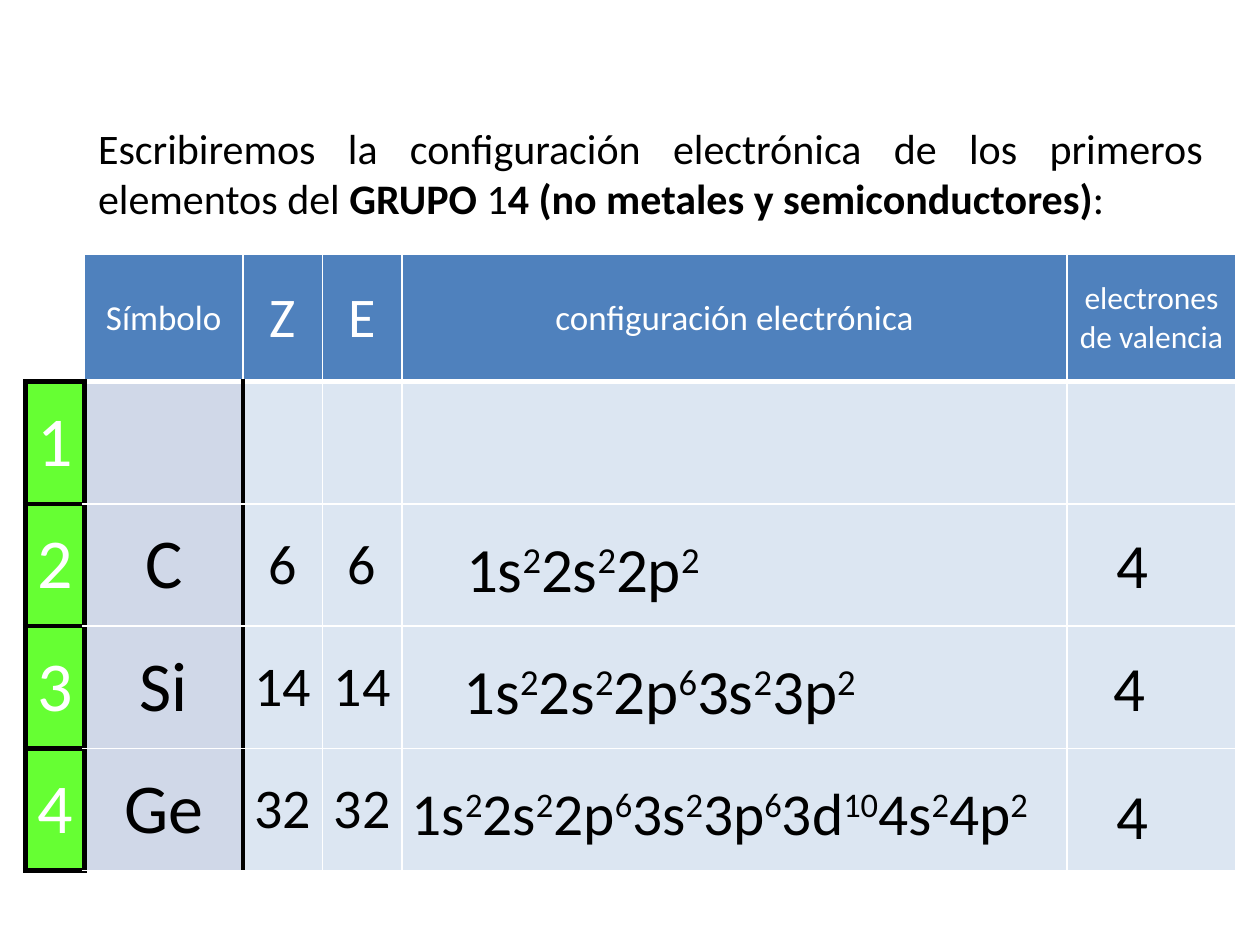
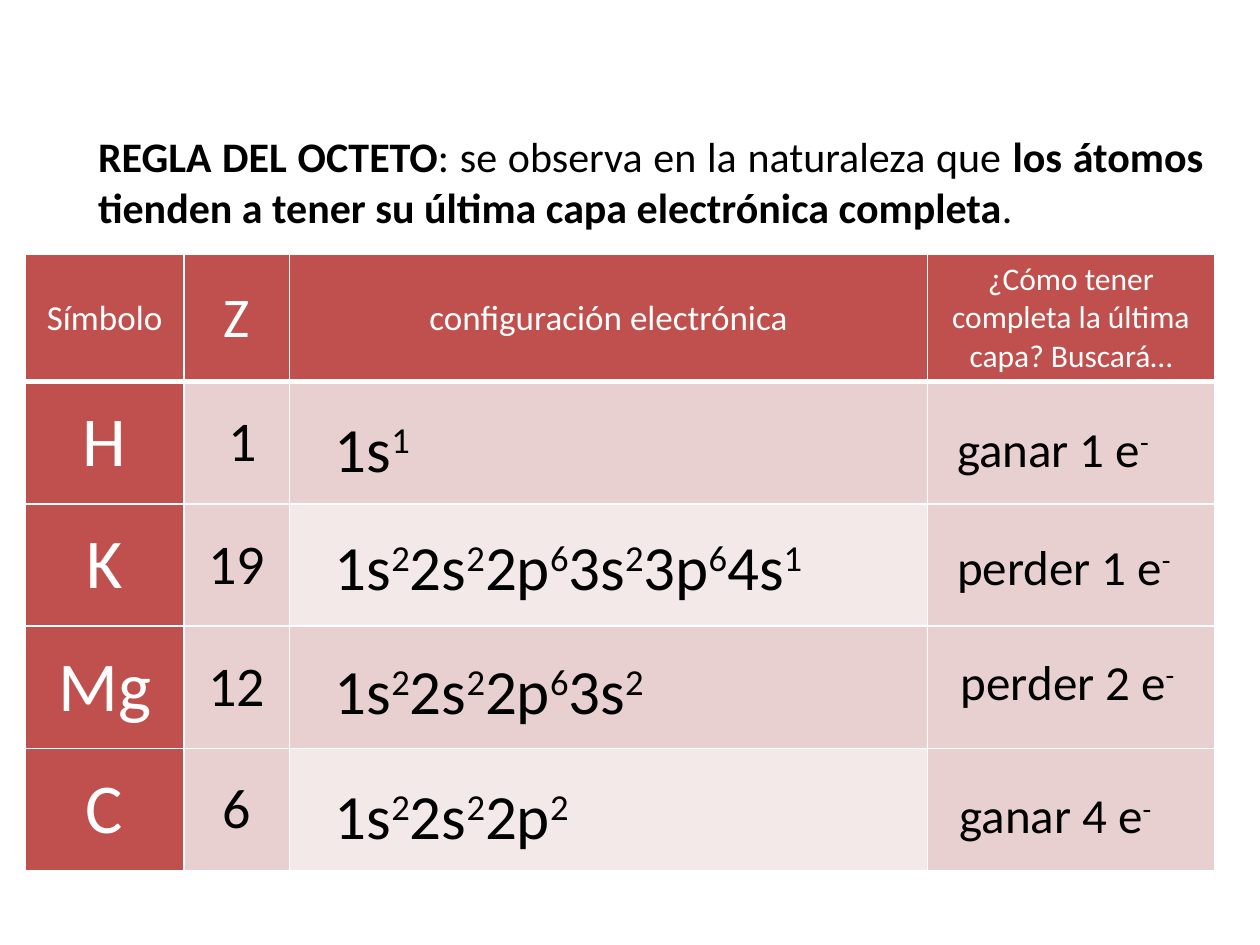
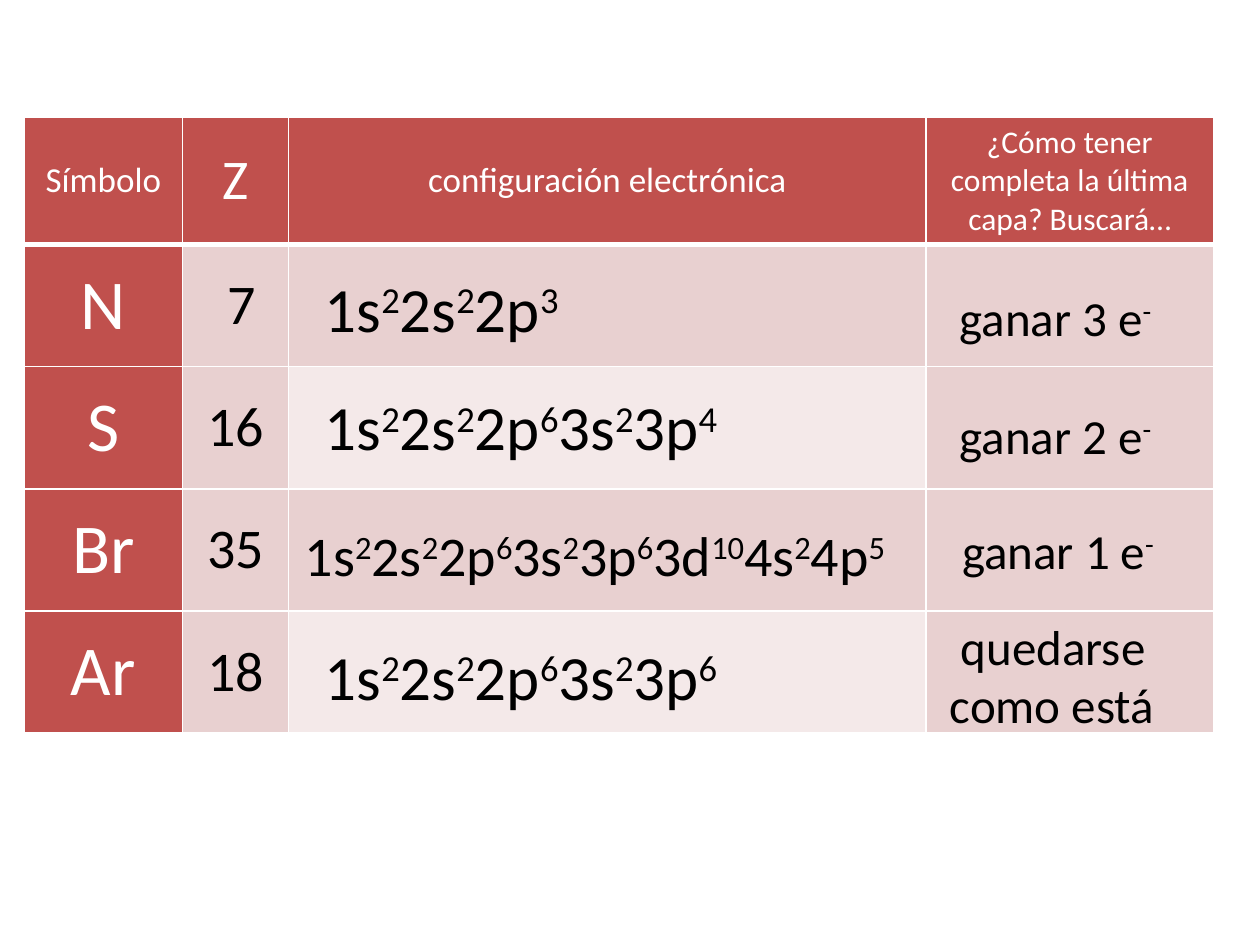
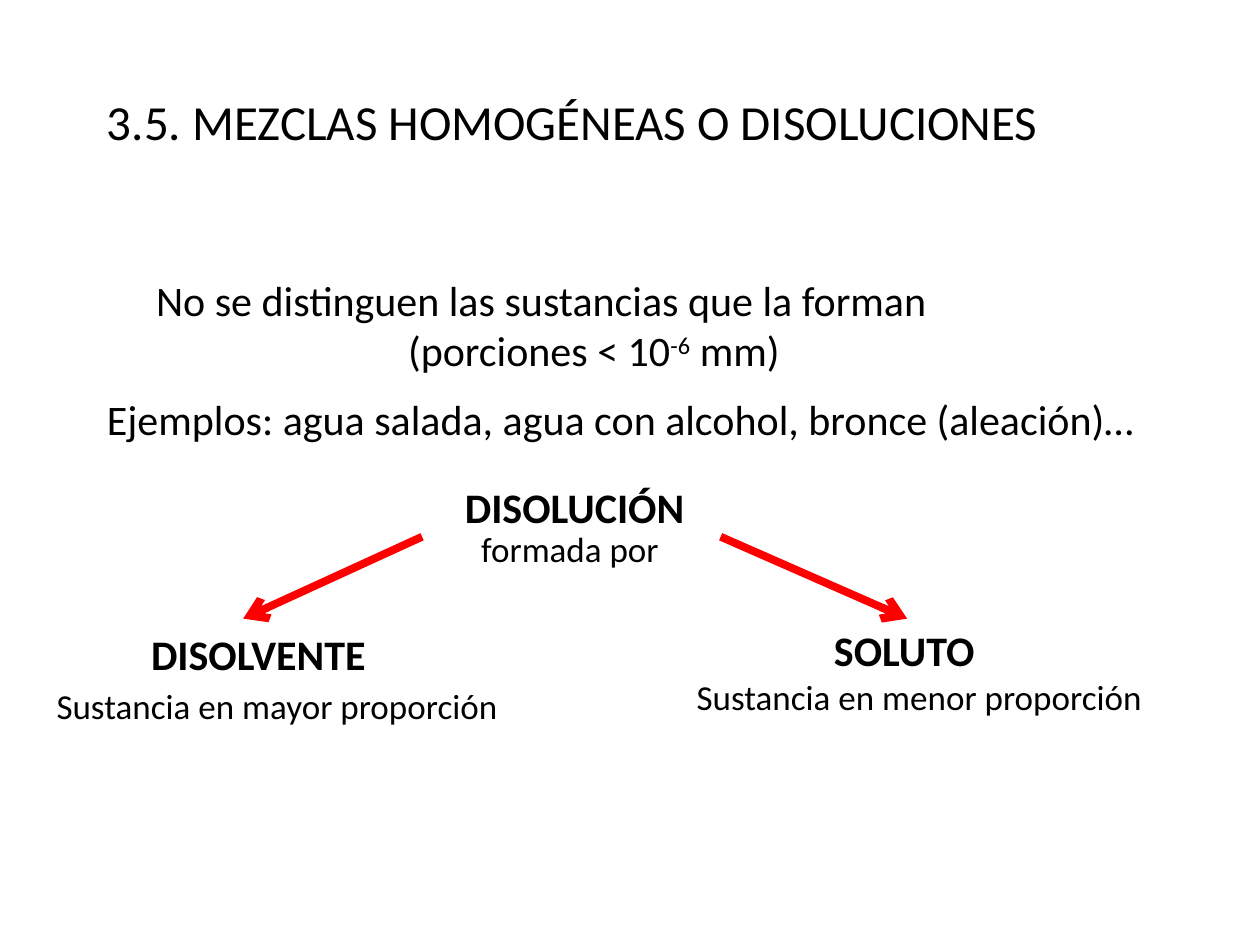
from itertools import accumulate

from lxml import etree
from pptx import Presentation
from pptx import util as u
from pptx.dml import color
from pptx.enum import shapes, text
from pptx.oxml import ns

FONT = "Calibri"
BLACK = "000000"
WHITE = "FFFFFF"
BLUE = "4F81BD"
SYMBOL_BLUE = "D0D8E8"
PALE_BLUE = "DCE6F2"
GREEN = "66FF33"
RED = "C0504D"
PALE_RED = "E8D0D0"
FAINT_RED = "F4E9E9"
ARROW_RED = "FF0000"
ROW_HEIGHTS = [1.01] + [0.97] * 4
LEFT, CENTER, JUSTIFY = text.PP_ALIGN.LEFT, text.PP_ALIGN.CENTER, text.PP_ALIGN.JUSTIFY


def rgb(value):
    return color.RGBColor.from_string(value)


def add_run(paragraph, content, size, ink, bold=False, raised=False):
    run = paragraph.add_run()
    run.text = content
    run.font.name = FONT
    run.font.size = u.Pt(size)
    run.font.bold = bold
    run.font.color.rgb = rgb(ink)
    if raised:
        run.font._element.set("baseline", "30000")


def add_marked_runs(paragraph, marked, size, ink=BLACK):
    """Asterisks enclose bold text and carets enclose superscripts."""
    for bold_index, stretch in enumerate(marked.split("*")):
        for raised_index, content in enumerate(stretch.split("^")):
            if content:
                add_run(paragraph, content, size, ink, bold_index % 2 == 1, raised_index % 2 == 1)


def add_text(slide, left, top, width, lines, size, align=LEFT, indents=(), visual_lines=None):
    height = round((visual_lines or len(lines)) * size * 1.22 / 72 + 0.1, 2)
    shape = slide.shapes.add_textbox(u.Inches(left), u.Inches(top), u.Inches(width), u.Inches(height))
    frame = shape.text_frame
    frame.word_wrap = True
    for index, line in enumerate(lines):
        paragraph = frame.paragraphs[0] if index == 0 else frame.add_paragraph()
        paragraph.alignment = align
        if index < len(indents):
            paragraph._p.get_or_add_pPr().set("marL", str(u.Inches(indents[index])))
        add_marked_runs(paragraph, line, size)


def set_borders(cell, **changes):
    sides = {side: (WHITE, 1) for side in "LRTB"} | changes
    properties = cell._tc.get_or_add_tcPr()
    for position, (side, (ink, points)) in enumerate(sides.items()):
        line = etree.Element(ns.qn(f"a:ln{side}"), w=str(u.Pt(points)))
        fill = etree.SubElement(line, ns.qn("a:solidFill"))
        etree.SubElement(fill, ns.qn("a:srgbClr"), val=ink)
        properties.insert(position, line)


def fill_cell(cell, content, size, ink, fill, **borders):
    cell.fill.solid()
    cell.fill.fore_color.rgb = rgb(fill)
    cell.vertical_anchor = text.MSO_ANCHOR.MIDDLE
    cell.margin_left = cell.margin_right = u.Inches(0.07)
    cell.margin_top = cell.margin_bottom = 0
    set_borders(cell, **borders)
    if content:
        paragraph = cell.text_frame.paragraphs[0]
        paragraph.alignment = CENTER
        add_run(paragraph, content, size, ink)


def add_grid(slide, left, top, widths):
    frame = slide.shapes.add_table(
        len(ROW_HEIGHTS), len(widths), u.Inches(left), u.Inches(top),
        u.Inches(sum(widths)), u.Inches(sum(ROW_HEIGHTS)))
    table = frame.table
    table.first_row = table.horz_banding = False
    for column, width in zip(table.columns, widths):
        column.width = u.Inches(width)
    for row, height in zip(table.rows, ROW_HEIGHTS):
        row.height = u.Inches(height)
    return table


def fill_header(table, headings, fill, first_column=0):
    for column, (heading, size) in enumerate(headings, first_column):
        fill_cell(table.cell(0, column), heading, size, WHITE, fill, B=(WHITE, 3))


def add_answers(slide, left, top, widths, answers):
    column_lefts = list(accumulate(widths, initial=left))
    row_tops = list(accumulate(ROW_HEIGHTS, initial=top))
    for row, column, shift, drop, width, size, answer, *line_count in answers:
        add_text(slide, column_lefts[column] + shift, row_tops[row] + drop, width, [answer], size,
                 visual_lines=line_count[0] if line_count else 1)


def add_group_table(slide, left, top, elements, answers):
    widths = [0.47, 1.26, 0.63, 0.63, 5.28, 1.34]
    black = (BLACK, 3)
    table = add_grid(slide, left, top, widths)
    fill_cell(table.cell(0, 0), "", 18, WHITE, WHITE, B=black)
    headings = [("Símbolo", 20), ("Z", 32), ("E", 32), ("configuración electrónica", 20),
                ("electrones de valencia", 18)]
    fill_header(table, headings, BLUE, 1)
    for period, (symbol, number) in enumerate(elements, 1):
        fill_cell(table.cell(period, 0), str(period), 40, WHITE, GREEN, L=black, R=black, T=black, B=black)
        fill_cell(table.cell(period, 1), symbol, 40, BLACK, SYMBOL_BLUE, L=black, R=black)
        fill_cell(table.cell(period, 2), number, 32, BLACK, PALE_BLUE, L=black)
        fill_cell(table.cell(period, 3), number, 32, BLACK, PALE_BLUE)
        for column in (4, 5):
            fill_cell(table.cell(period, column), "", 18, BLACK, PALE_BLUE)
    add_answers(slide, left, top, widths, answers)


def add_octet_table(slide, left, top, elements, answers):
    widths = [1.26, 0.84, 5.06, 2.28]
    table = add_grid(slide, left, top, widths)
    headings = [("Símbolo", 20), ("Z", 32), ("configuración electrónica", 20),
                ("¿Cómo tener completa la última capa? Buscará…", 18)]
    fill_header(table, headings, RED)
    for row, (symbol, number) in enumerate(elements, 1):
        fill_cell(table.cell(row, 0), symbol, 40, WHITE, RED)
        fill_cell(table.cell(row, 1), number, 32, BLACK, PALE_RED)
        fill_cell(table.cell(row, 2), "", 18, BLACK, PALE_RED if row % 2 else FAINT_RED)
        fill_cell(table.cell(row, 3), "", 18, BLACK, PALE_RED)
    add_answers(slide, left, top, widths, answers)


def add_arrow(slide, start_x, start_y, end_x, end_y):
    arrow = slide.shapes.add_connector(
        shapes.MSO_CONNECTOR.STRAIGHT, *map(u.Inches, (start_x, start_y, end_x, end_y)))
    arrow.line.color.rgb = rgb(ARROW_RED)
    arrow.line.width = u.Pt(4.5)
    etree.SubElement(arrow.line._get_or_add_ln(), ns.qn("a:tailEnd"), type="arrow")
    etree.SubElement(arrow._element.spPr, ns.qn("a:effectLst"))


def add_solution_diagram(slide, left, top):
    labels = [
        (3.37, 0.37, 2.09, "formada por", 20, JUSTIFY),
        (2.4, 0, 3.62, "*DISOLUCIÓN*", 24, CENTER),
        (0, 1.61, 4.21, "Sustancia en mayor proporción", 20, JUSTIFY),
        (0.75, 1.17, 3.62, "*DISOLVENTE*", 24, JUSTIFY),
        (5.08, 1.54, 3.9, "Sustancia en menor proporción", 20, JUSTIFY),
        (6.17, 1.14, 3.45, "*SOLUTO*", 24, JUSTIFY),
    ]
    for shift, drop, width, label, size, align in labels:
        add_text(slide, left + shift, top + drop, width, [label], size, align)
    for start, end in ((3, 1.58), (5.37, 6.85)):
        add_arrow(slide, left + start, top + 0.49, left + end, top + 1.14)


def build_group_slide(slide):
    elements = [("", ""), ("C", "6"), ("Si", "14"), ("Ge", "32")]
    answers = [
        (2, 4, 0.41, 0.15, 2.91, 36, "1s^2^2s^2^2p^2^"),
        (2, 5, 0.29, 0.12, 0.58, 36, "4"),
        (3, 4, 0.39, 0.15, 4.41, 36, "1s^2^2s^2^2p^6^3s^2^3p^2^"),
        (3, 5, 0.27, 0.13, 0.58, 36, "4"),
        (4, 5, 0.29, 0.17, 0.58, 36, "4"),
        (4, 4, -0.02, 0.17, 5.77, 34, "1s^2^2s^2^2p^6^3s^2^3p^6^3d^10^4s^2^4p^2^"),
    ]
    add_group_table(slide, 0.2, 2.02, elements, answers)
    introduction = ("Escribiremos la configuración electrónica de los primeros elementos del "
                    "*GRUPO *1*4 (no metales y semiconductores)*:")
    add_text(slide, 0.68, 0.92, 8.97, [introduction], 24, JUSTIFY, visual_lines=2)


def build_octet_slide(slide):
    rule = ("*REGLA DEL OCTETO*: se observa en la naturaleza que "
            "*los átomos tienden a tener su última capa electrónica completa*. ")
    add_text(slide, 0.68, 0.99, 8.97, [rule], 24, JUSTIFY, visual_lines=2)
    elements = [("H", " 1"), ("K", "19"), ("Mg", "12"), ("C", "6")]
    answers = [
        (1, 2, 0.26, 0.17, 2.91, 36, "1s^1^"),
        (2, 2, 0.26, 0.14, 4.54, 36, "1s^2^2s^2^2p^6^3s^2^3p^6^4s^1^"),
        (1, 3, 0.05, 0.24, 1.89, 28, " ganar 1 e^-^"),
        (2, 3, 0.05, 0.21, 2.08, 28, " perder 1 e^-^"),
        (3, 2, 0.26, 0.15, 4.41, 36, "1s^2^2s^2^2p^6^3s^2^"),
        (3, 3, 0.08, 0.15, 2.08, 28, " perder 2 e^-^"),
        (4, 2, 0.26, 0.17, 2.91, 36, "1s^2^2s^2^2p^2^"),
        (4, 3, 0.07, 0.24, 1.89, 28, " ganar 4 e^-^"),
    ]
    add_octet_table(slide, 0.2, 2.02, elements, answers)


def build_octet_practice_slide(slide):
    elements = [("N", " 7"), ("S", "16"), ("Br", "35"), ("Ar", "18")]
    answers = [
        (1, 3, 0.08, 0.29, 1.89, 28, " ganar 3 e^-^"),
        (2, 3, 0.08, 0.26, 2.08, 28, " ganar 2 e^-^"),
        (3, 3, 0.1, 0.2, 2.08, 28, " ganar 1 e^-^"),
        (4, 3, 0.09, -0.01, 1.89, 28, " quedarse como está", 2),
        (1, 2, 0.19, 0.15, 2.91, 36, "1s^2^2s^2^2p^3^"),
        (2, 2, 0.19, 0.12, 4.41, 36, "1s^2^2s^2^2p^6^3s^2^3p^4^"),
        (3, 2, 0.03, 0.2, 5.77, 32, "1s^2^2s^2^2p^6^3s^2^3p^6^3d^10^4s^2^4p^5^"),
        (4, 2, 0.19, 0.16, 4.41, 36, "1s^2^2s^2^2p^6^3s^2^3p^6^"),
    ]
    add_octet_table(slide, 0.19, 0.93, elements, answers)


def build_solutions_slide(slide):
    add_text(slide, 0.75, 0.68, 8.35, ["3.5. MEZCLAS HOMOGÉNEAS O DISOLUCIONES"], 28)
    definition = ["No se distinguen las sustancias que la forman", "(porciones < 10^-6^ mm)"]
    add_text(slide, 1.14, 2.13, 8.58, definition, 24, JUSTIFY, indents=(0, 2))
    examples = "Ejemplos: agua salada, agua con alcohol, bronce (aleación)…"
    add_text(slide, 0.75, 3.07, 8.58, [examples], 24, JUSTIFY)
    add_solution_diagram(slide, 0.35, 3.77)


def main():
    presentation = Presentation()
    presentation.slide_width = u.Inches(10)
    presentation.slide_height = u.Inches(7.5)
    blank = presentation.slide_layouts[6]
    for build in (build_group_slide, build_octet_slide, build_octet_practice_slide, build_solutions_slide):
        build(presentation.slides.add_slide(blank))
    presentation.save("out.pptx")


if __name__ == "__main__":
    main()
